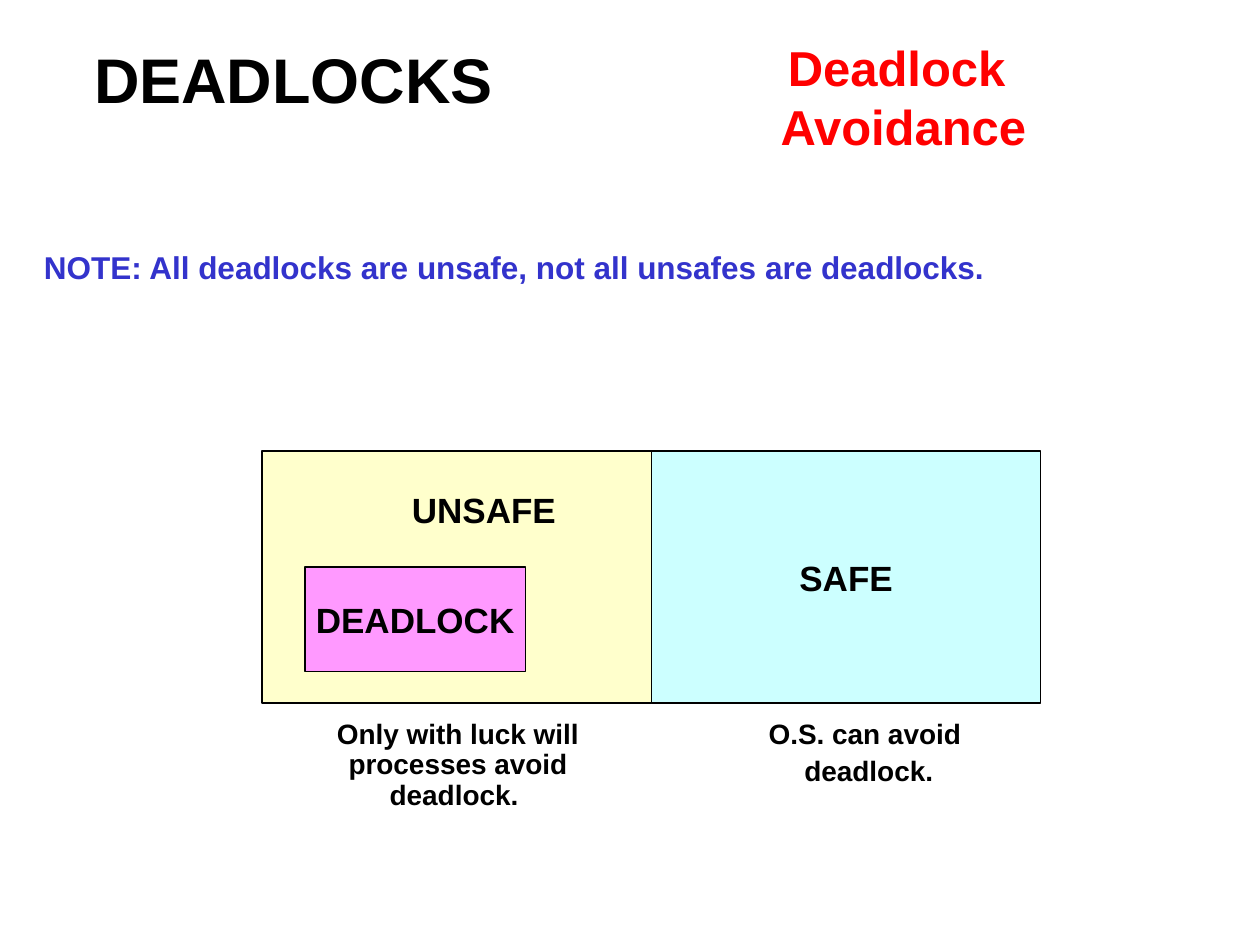
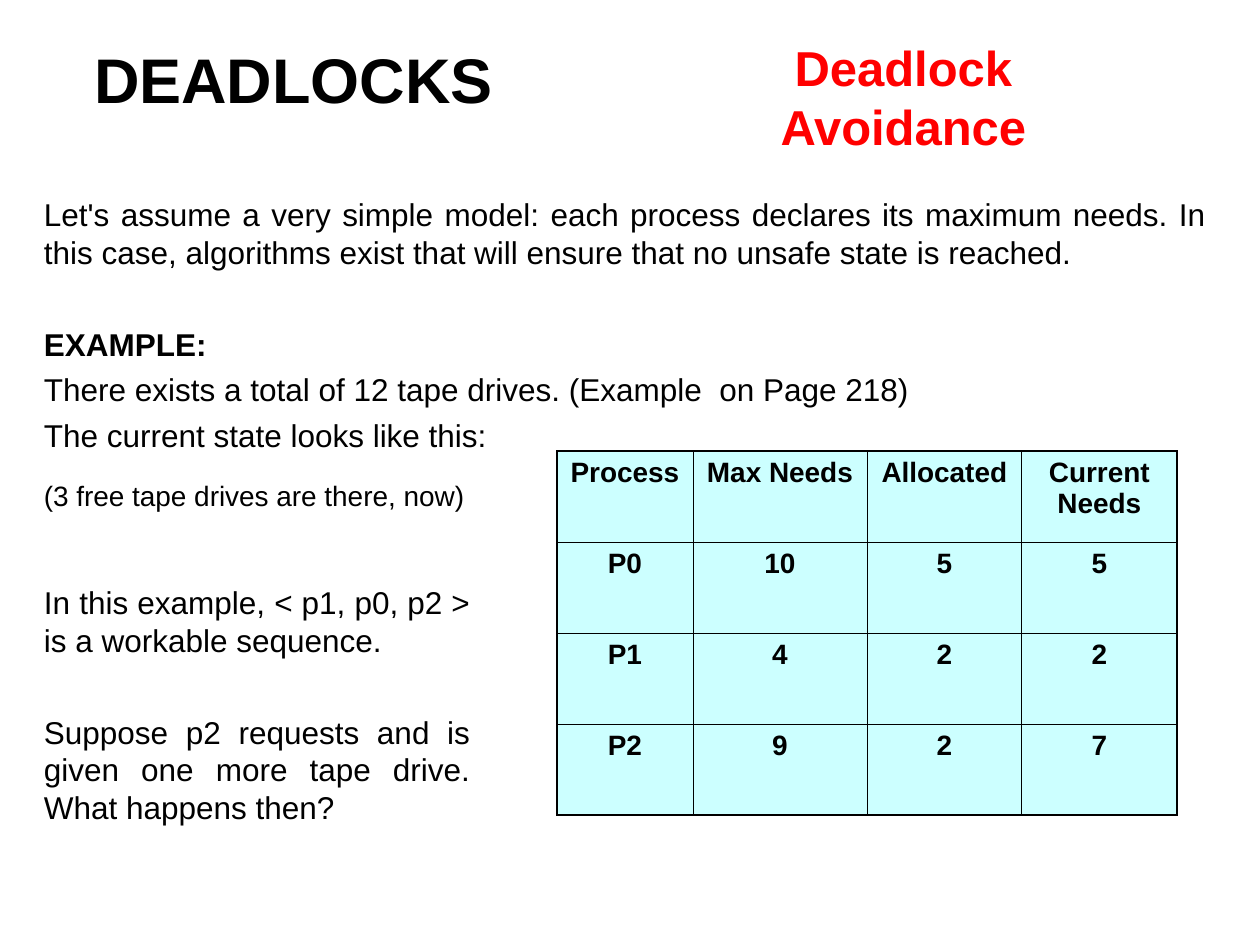
from dataclasses import dataclass
from typing import Optional

from lxml import etree
from pptx import Presentation
from pptx import util as u
from pptx.dml.color import RGBColor
from pptx.enum import shapes, text
from pptx.oxml import ns

CENTER = text.PP_ALIGN.CENTER
JUSTIFY = text.PP_ALIGN.JUSTIFY
LEFT = text.PP_ALIGN.LEFT


@dataclass(frozen=True)
class Theme:
    font: str = "Arial"
    ink: str = "000000"
    topic: str = "FF0000"
    note: str = "3333CC"
    safe: str = "CCFFFF"
    unsafe: str = "FFFFCC"
    deadlock: str = "FF99FF"
    title_size: float = 36
    topic_size: float = 28
    region_size: float = 20
    body_size: float = 18
    small_size: float = 16
    body_gap: float = 4.5
    section_gap: float = 30.7
    caption_gap: float = 4
    tight: float = 0.9
    outline: float = 0.75
    table_edge: float = 1.08
    table_rule: float = 0.45


THEME = Theme()


@dataclass(frozen=True)
class Box:
    left: float
    top: float
    width: float
    height: float

    def lengths(self) -> tuple:
        return tuple(u.Inches(v) for v in (self.left, self.top, self.width, self.height))


@dataclass(frozen=True)
class Para:
    words: str
    size: float = THEME.body_size
    bold: bool = False
    color: str = THEME.ink
    align: text.PP_ALIGN = JUSTIFY
    before: float = 0
    spacing: Optional[float] = None


@dataclass(frozen=True)
class Region:
    box: Box
    fill: str
    label: str = ""


# Shared drawing functions
def write(frame, paras: list[Para]) -> None:
    for i, para in enumerate(paras):
        line = frame.paragraphs[0] if i == 0 else frame.add_paragraph()
        line.text = para.words
        line.alignment = para.align
        line.space_before = u.Pt(para.before)
        if para.spacing:
            line.line_spacing = para.spacing
        line.font.name = THEME.font
        line.font.size = u.Pt(para.size)
        line.font.bold = para.bold
        line.font.color.rgb = RGBColor.from_string(para.color)


def add_text(slide, box: Box, paras: list[Para], wrap: bool = True,
             grow: bool = True, anchor=text.MSO_ANCHOR.TOP) -> None:
    frame = slide.shapes.add_textbox(*box.lengths()).text_frame
    frame.word_wrap = wrap
    frame.vertical_anchor = anchor
    if grow:
        frame.auto_size = text.MSO_AUTO_SIZE.SHAPE_TO_FIT_TEXT
    write(frame, paras)


def region_label(words: str, align: text.PP_ALIGN = CENTER) -> Para:
    return Para(words, THEME.region_size, True, align=align)


def caption(words: str, before: float = 0) -> Para:
    return Para(words, THEME.small_size, True, align=CENTER, before=before,
                spacing=THEME.tight)


def add_region(slide, region: Region) -> None:
    area = slide.shapes.add_shape(shapes.MSO_SHAPE.RECTANGLE, *region.box.lengths())
    area.shadow.inherit = False
    area.fill.solid()
    area.fill.fore_color.rgb = RGBColor.from_string(region.fill)
    area.line.color.rgb = RGBColor.from_string(THEME.ink)
    area.line.width = u.Pt(THEME.outline)
    if region.label:
        area.text_frame.word_wrap = False
        area.text_frame.vertical_anchor = text.MSO_ANCHOR.MIDDLE
        write(area.text_frame, [region_label(region.label)])


def add_border(cell, side: str, width: float) -> None:
    border = etree.SubElement(cell._tc.get_or_add_tcPr(), ns.qn(f"a:ln{side}"),
                              w=str(int(u.Pt(width))))
    fill = etree.SubElement(border, ns.qn("a:solidFill"))
    etree.SubElement(fill, ns.qn("a:srgbClr"), val=THEME.ink)


def add_needs_table(slide, box: Box, widths: list[float], rows: list[list[str]]) -> None:
    table = slide.shapes.add_table(len(rows), len(widths), *box.lengths()).table
    for column, width in zip(table.columns, widths):
        column.width = u.Inches(width)
    last_row, last_column = len(rows) - 1, len(widths) - 1
    for r, values in enumerate(rows):
        table.rows[r].height = u.Inches(box.height / len(rows))
        for c, value in enumerate(values):
            cell = table.cell(r, c)
            on_edge = {"L": c == 0, "R": c == last_column,
                       "T": r == 0, "B": r == last_row}
            for side, outer in on_edge.items():
                add_border(cell, side, THEME.table_edge if outer else THEME.table_rule)
            cell.fill.solid()
            cell.fill.fore_color.rgb = RGBColor.from_string(THEME.safe)
            write(cell.text_frame, [Para(value, THEME.small_size, True, align=CENTER)])


def add_headings(slide, topic: list[str]) -> None:
    add_text(slide, Box(0.33, 0.25, 4, 0.75),
             [Para("DEADLOCKS", THEME.title_size, True, align=CENTER)],
             grow=False, anchor=text.MSO_ANCHOR.MIDDLE)
    add_text(slide, Box(4.92, 0.25, 4.5, 1.04),
             [Para(words, THEME.topic_size, True, THEME.topic, CENTER) for words in topic])


# Safe and unsafe states
def build_states(slide) -> None:
    add_text(slide, Box(0.25, 1.92, 9.42, 0.5),
             [Para("NOTE: All deadlocks are unsafe, not all unsafes are deadlocks.",
                   bold=True, color=THEME.note)], grow=False)
    left, top, width, height = 2.08, 3.58, 3.09, 2
    for region in (
        Region(Box(left + width, top, width, height), THEME.safe, "SAFE"),
        Region(Box(left, top, width, height), THEME.unsafe),
        Region(Box(2.42, 4.5, 1.75, 0.83), THEME.deadlock, "DEADLOCK"),
    ):
        add_region(slide, region)
    add_text(slide, Box(3.17, 3.83, 1.4, 0.44), [region_label("UNSAFE", LEFT)],
             grow=False)
    add_text(slide, Box(2.5, 5.67, 2.27, 0.82),
             [caption("Only with luck will processes avoid deadlock. ")])
    add_text(slide, Box(6, 5.67, 1.79, 0.64),
             [caption("O.S. can avoid "), caption("deadlock.", THEME.caption_gap)],
             wrap=False)
    add_headings(slide, ["Deadlock ", "Avoidance"])


# Tape drive example
def build_example(slide) -> None:
    add_text(slide, Box(0.25, 1.5, 9.42, 2.25), [
        Para("Let's assume a very simple model: each process declares its maximum needs. "
             "In this case, algorithms exist that will ensure that no unsafe state is "
             "reached."),
        Para("EXAMPLE:", bold=True, before=THEME.section_gap),
        Para("There exists a total of 12 tape drives. (Example  on Page 218)",
             before=THEME.body_gap),
        Para("The current state looks like this:", before=THEME.body_gap),
    ], grow=False)
    add_text(slide, Box(0.25, 4.58, 3.58, 2.03), [
        Para("In this example, < p1, p0, p2 > is a workable sequence. "),
        Para("Suppose p2 requests and is given one more tape drive. What happens then?",
             before=THEME.section_gap),
    ])
    add_needs_table(slide, Box(4.42, 3.58, 4.92, 2.89), [1.08, 1.38, 1.23, 1.23], [
        ["Process", "Max Needs", "Allocated", "Current Needs"],
        ["P0", "10", "5", "5"],
        ["P1", "4", "2", "2"],
        ["P2", "9", "2", "7"],
    ])
    add_headings(slide, ["Deadlock", "Avoidance"])
    add_text(slide, Box(0.25, 3.75, 3.67, 0.37),
             [Para("(3 free tape drives are there, now)", THEME.small_size, align=LEFT)])


def main() -> None:
    deck = Presentation()
    deck.slide_width, deck.slide_height = u.Inches(10), u.Inches(7.5)
    for build in (build_states, build_example):
        build(deck.slides.add_slide(deck.slide_layouts[6]))
    deck.save("out.pptx")


if __name__ == "__main__":
    main()
